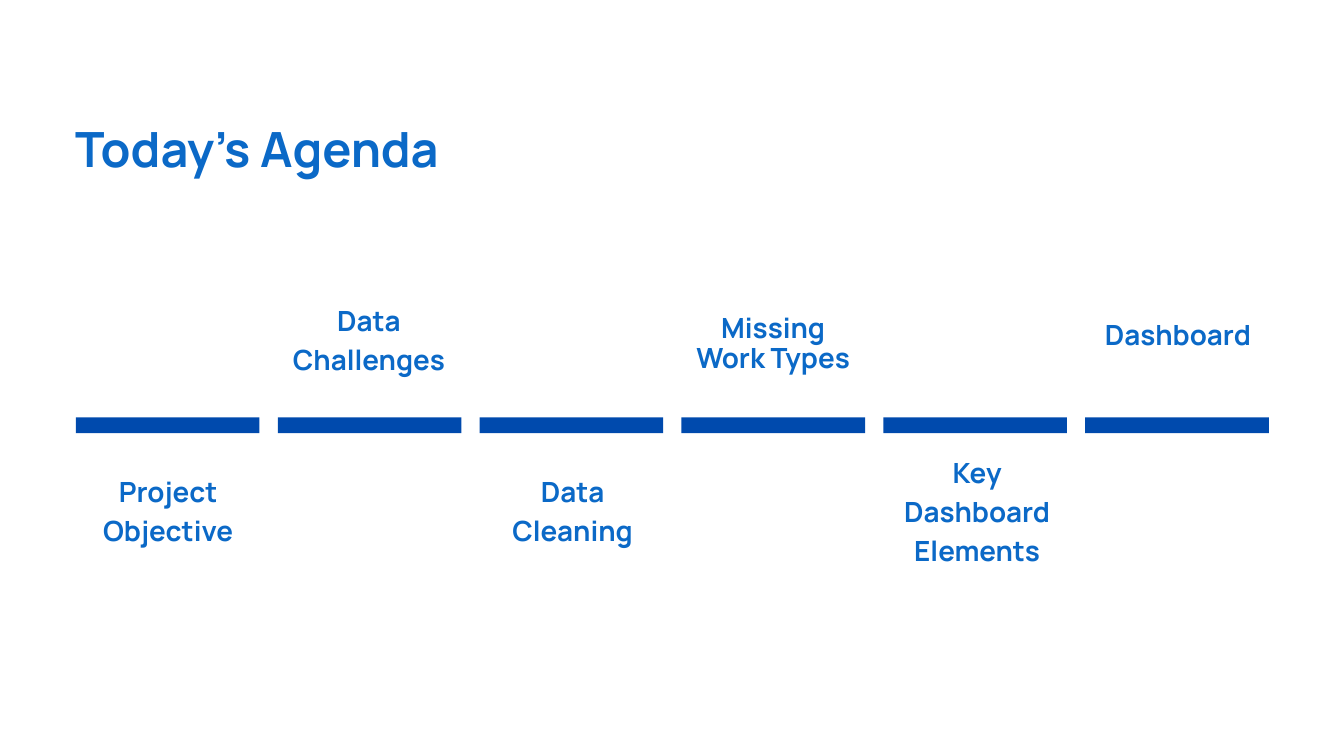
from pptx import Presentation
from pptx.dml.color import RGBColor
from pptx.enum.shapes import MSO_SHAPE
from pptx.enum.text import MSO_ANCHOR, MSO_AUTO_SIZE, PP_ALIGN
from pptx.util import Cm, Pt

RECTANGLE = MSO_SHAPE.RECTANGLE
TOP = MSO_ANCHOR.TOP
NO_AUTOFIT = MSO_AUTO_SIZE.NONE
LEFT, CENTER = PP_ALIGN.LEFT, PP_ALIGN.CENTER

COLORS = {"bar": "004AAD", "text": "0B69C7"}
FONT = "Manrope"
TITLE_SIZE, LABEL_SIZE = 52, 29.8

# Timeline geometry in centimetres
BAR_LEFT, BAR_TOP = 2.87, 15.78
BAR_WIDTH, BAR_HEIGHT = 6.94, 0.6
BAR_PITCH = 7.63
LABEL_WIDTH = 6.91

# Label lines, left, top (cm), height (cm), line spacing (pt)
AGENDA = [
    (["Project Objective"], 2.9, 17.75, 2.92, 41.7),
    (["Data Challenges"], 10.49, 11.28, 2.92, 41.7),
    (["Data Cleaning"], 18.19, 17.75, 2.92, 41.7),
    (["Missing", "Work Types"], 25.77, 11.86, 2.31, 32.2),
    (["Key Dashboard Elements"], 33.48, 17.02, 4.37, 41.7),
    (["Dashboard"], 41.07, 11.79, 1.45, 41.7),
]


class AgendaSlide:
    """Holds the style and the slide being built."""

    def __init__(self, presentation):
        self.slide = presentation.slides.add_slide(presentation.slide_layouts[5])

    def set_text(self, shape, lines, size, spacing, alignment):
        text_frame = shape.text_frame
        text_frame.text = "\n".join(lines)
        text_frame.word_wrap = True
        text_frame.auto_size = NO_AUTOFIT
        text_frame.vertical_anchor = TOP
        text_frame.margin_left = text_frame.margin_right = 0
        text_frame.margin_top = text_frame.margin_bottom = 0
        for paragraph in text_frame.paragraphs:
            paragraph.alignment = alignment
            paragraph.line_spacing = Pt(spacing)
            for run in paragraph.runs:
                run.font.name = FONT
                run.font.size = Pt(size)
                run.font.bold = True
                run.font.color.rgb = RGBColor.from_string(COLORS["text"])

    def title(self, text, left, top, width, height):
        shape = self.slide.shapes.title
        shape.left, shape.top = Cm(left), Cm(top)
        shape.width, shape.height = Cm(width), Cm(height)
        self.set_text(shape, [text], TITLE_SIZE, 56.1, LEFT)

    def bar(self, left):
        shape = self.slide.shapes.add_shape(
            RECTANGLE, Cm(left), Cm(BAR_TOP), Cm(BAR_WIDTH), Cm(BAR_HEIGHT))
        shape.shadow.inherit = False
        shape.fill.solid()
        shape.fill.fore_color.rgb = RGBColor.from_string(COLORS["bar"])
        shape.line.fill.background()

    def label(self, lines, left, top, height, spacing):
        shape = self.slide.shapes.add_textbox(
            Cm(left), Cm(top), Cm(LABEL_WIDTH), Cm(height))
        self.set_text(shape, lines, LABEL_SIZE, spacing, CENTER)


def main():
    presentation = Presentation()
    presentation.slide_width, presentation.slide_height = Cm(50.8), Cm(28.58)
    agenda = AgendaSlide(presentation)

    # Heading
    agenda.title("Today's Agenda", 2.84, 4.72, 17.7, 2.16)

    # Timeline bars with labels alternating below and above
    for index, (lines, left, top, height, spacing) in enumerate(AGENDA):
        agenda.bar(BAR_LEFT + index * BAR_PITCH)
        agenda.label(lines, left, top, height, spacing)

    presentation.save("out.pptx")


if __name__ == "__main__":
    main()
